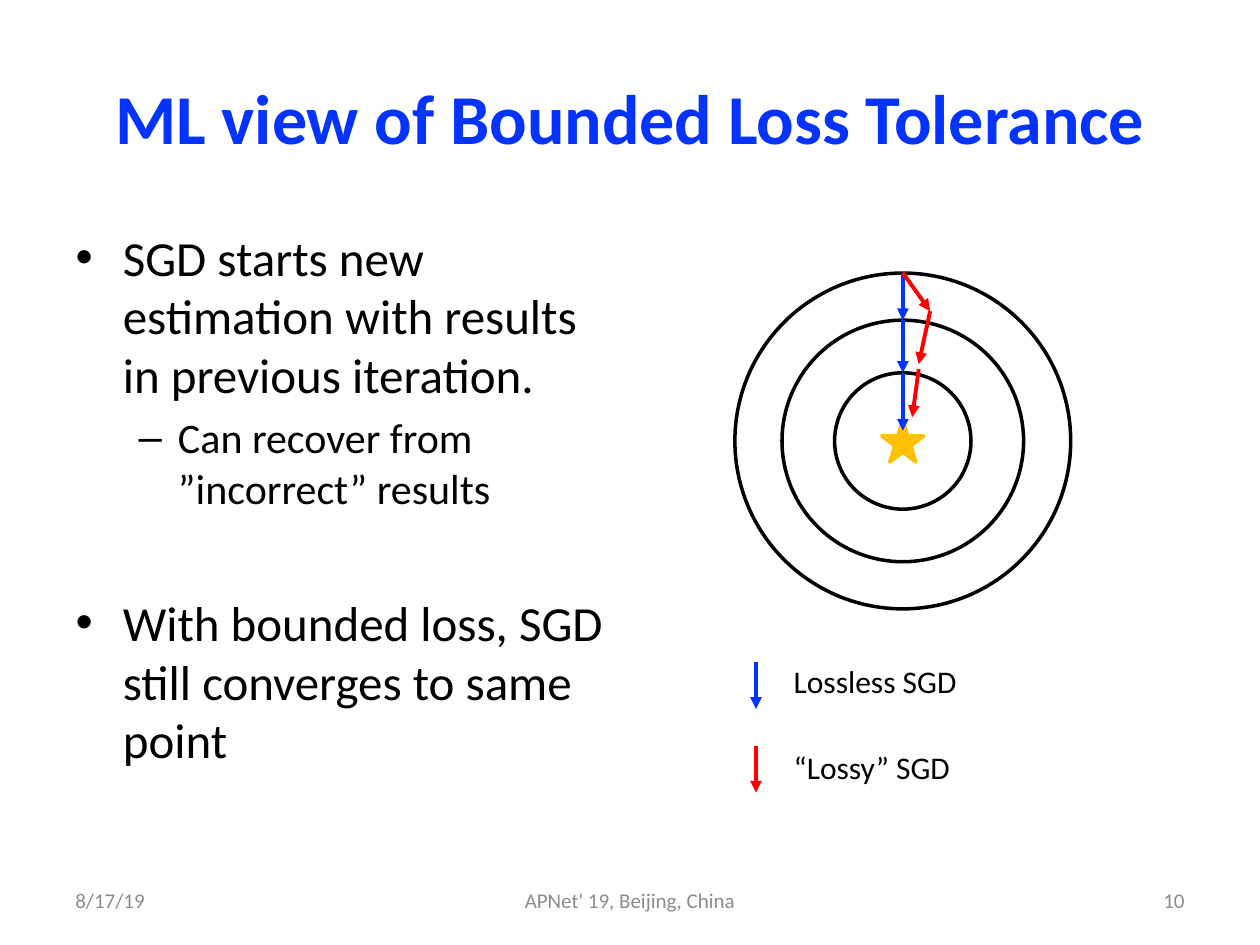
from dataclasses import dataclass
from itertools import pairwise

from lxml import etree
from pptx import Presentation
from pptx import util as u
from pptx.dml.color import RGBColor
from pptx.enum import shapes, text
from pptx.oxml import ns


@dataclass(frozen=True)
class Theme:
    font: str = "Calibri"
    ink: str = "000000"
    paper: str = "FFFFFF"
    lossless: str = "0432FF"
    lossy: str = "FF0000"
    goal: str = "FFC000"
    muted: str = "8C8C8C"
    title: float = 40
    bullet: float = 28
    detail: float = 24
    legend: float = 18
    footer: float = 12
    outline: float = 2
    arrow: float = 2.25


@dataclass(frozen=True)
class Bullet:
    words: str
    level: int
    size: float
    before: float


@dataclass(frozen=True)
class LegendEntry:
    words: str
    color: str
    arrow_top: float
    label_top: float
    width: float


@dataclass(frozen=True)
class Footer:
    words: str
    left: float
    width: float
    align: text.PP_ALIGN


THEME = Theme()
CENTER_X, CENTER_Y = 18.2, 8.89
RING_DIAMETERS = (6.77, 4.87, 2.75)
STAR_SIZE = 0.85
LEGEND_X, LEGEND_LENGTH = 15.24, 0.95

BULLETS = (
    Bullet("SGD starts new estimation with results in previous iteration.", 0, THEME.bullet, 0),
    Bullet("Can recover from ”incorrect” results", 1, THEME.detail, 4.8),
    Bullet("With bounded loss, SGD still converges to same point", 0, THEME.bullet, 45.4),
)
LEGEND = (
    LegendEntry("Lossless SGD", THEME.lossless, 13.34, 13.23, 3.84),
    LegendEntry("“Lossy” SGD", THEME.lossy, 15.03, 14.96, 3.68),
)
FOOTERS = (
    Footer("8/17/19", 1.27, 5.93, text.PP_ALIGN.LEFT),
    Footer("APNet' 19, Beijing, China", 8.68, 8.04, text.PP_ALIGN.CENTER),
    Footer("10", 18.2, 5.93, text.PP_ALIGN.RIGHT),
)
LOSSY_PATHS = (
    ((18.2, 5.5), (18.75, 6.27), (18.52, 7.34)),
    ((18.52, 7.44), (18.39, 8.41)),
)


def write(para, words: str, *, size: float, color: str = THEME.ink, bold: bool = False,
          align: text.PP_ALIGN = text.PP_ALIGN.LEFT, level: int = 0, before: float = 0) -> None:
    para.level = level
    para.alignment = align
    para.space_before = u.Pt(before)
    span = para.add_run()
    span.text = words
    span.font.name = THEME.font
    span.font.size = u.Pt(size)
    span.font.bold = bold
    span.font.color.rgb = RGBColor.from_string(color)


def place(box, left: float, top: float, width: float, height: float) -> None:
    box.left, box.top, box.width, box.height = map(u.Cm, (left, top, width, height))


def add_label(page, words: str, left: float, top: float, width: float, *,
              wrap: bool, anchor: text.MSO_ANCHOR, **style) -> None:
    box = page.shapes.add_textbox(u.Cm(left), u.Cm(top), u.Cm(width), u.Cm(1.01))
    box.text_frame.word_wrap = wrap
    box.text_frame.vertical_anchor = anchor
    write(box.text_frame.paragraphs[0], words, **style)


def add_centered(page, kind: shapes.MSO_SHAPE, size: float, fill: str, line: str) -> None:
    shape = page.shapes.add_shape(kind, u.Cm(CENTER_X - size / 2), u.Cm(CENTER_Y - size / 2),
                                  u.Cm(size), u.Cm(size))
    shape.shadow.inherit = False
    shape.fill.solid()
    shape.fill.fore_color.rgb = RGBColor.from_string(fill)
    shape.line.color.rgb = RGBColor.from_string(line)
    shape.line.width = u.Pt(THEME.outline)


def add_arrows(page, points: tuple[tuple[float, float], ...], color: str) -> None:
    for start, end in pairwise(points):
        arrow = page.shapes.add_connector(shapes.MSO_CONNECTOR.STRAIGHT,
                                          *map(u.Cm, (*start, *end)))
        arrow.line.color.rgb = RGBColor.from_string(color)
        arrow.line.width = u.Pt(THEME.arrow)
        etree.SubElement(arrow.line._get_or_add_ln(), ns.qn("a:tailEnd"), type="triangle")
        etree.SubElement(arrow._element.spPr, ns.qn("a:effectLst"))


def add_text(page) -> None:
    title = page.shapes.title
    place(title, 1.27, 0.76, 22.86, 3.18)
    title.text_frame.auto_size = text.MSO_AUTO_SIZE.NONE
    title.text_frame.vertical_anchor = text.MSO_ANCHOR.MIDDLE
    write(title.text_frame.paragraphs[0], "ML view of Bounded Loss Tolerance", size=THEME.title,
          color=THEME.lossless, bold=True, align=text.PP_ALIGN.CENTER)

    body = page.placeholders[1]
    place(body, 1.27, 4.45, 11.23, 12.57)
    frame = body.text_frame
    frame.auto_size = text.MSO_AUTO_SIZE.NONE
    for index, item in enumerate(BULLETS):
        para = frame.add_paragraph() if index else frame.paragraphs[0]
        write(para, item.words, size=item.size, level=item.level, before=item.before)


def add_target(page) -> None:
    for diameter in RING_DIAMETERS:
        add_centered(page, shapes.MSO_SHAPE.OVAL, diameter, THEME.paper, THEME.ink)
    add_centered(page, shapes.MSO_SHAPE.STAR_5_POINT, STAR_SIZE, THEME.goal, THEME.goal)
    ring_tops = tuple((CENTER_X, CENTER_Y - diameter / 2) for diameter in RING_DIAMETERS)
    add_arrows(page, (*ring_tops, (CENTER_X, 8.68)), THEME.lossless)
    for points in LOSSY_PATHS:
        add_arrows(page, points, THEME.lossy)


def add_legend(page) -> None:
    for entry in LEGEND:
        top = entry.arrow_top
        add_arrows(page, ((LEGEND_X, top), (LEGEND_X, top + LEGEND_LENGTH)), entry.color)
        add_label(page, entry.words, 15.75, entry.label_top, entry.width, wrap=False,
                  anchor=text.MSO_ANCHOR.TOP, size=THEME.legend)


def add_footers(page) -> None:
    for footer in FOOTERS:
        add_label(page, footer.words, footer.left, 17.65, footer.width, wrap=True,
                  anchor=text.MSO_ANCHOR.MIDDLE, size=THEME.footer, color=THEME.muted,
                  align=footer.align)


def main() -> None:
    deck = Presentation()
    deck.slide_width, deck.slide_height = u.Cm(25.4), u.Cm(19.05)
    page = deck.slides.add_slide(deck.slide_layouts[1])
    add_text(page)
    add_target(page)
    add_legend(page)
    add_footers(page)
    deck.save("out.pptx")


if __name__ == "__main__":
    main()
